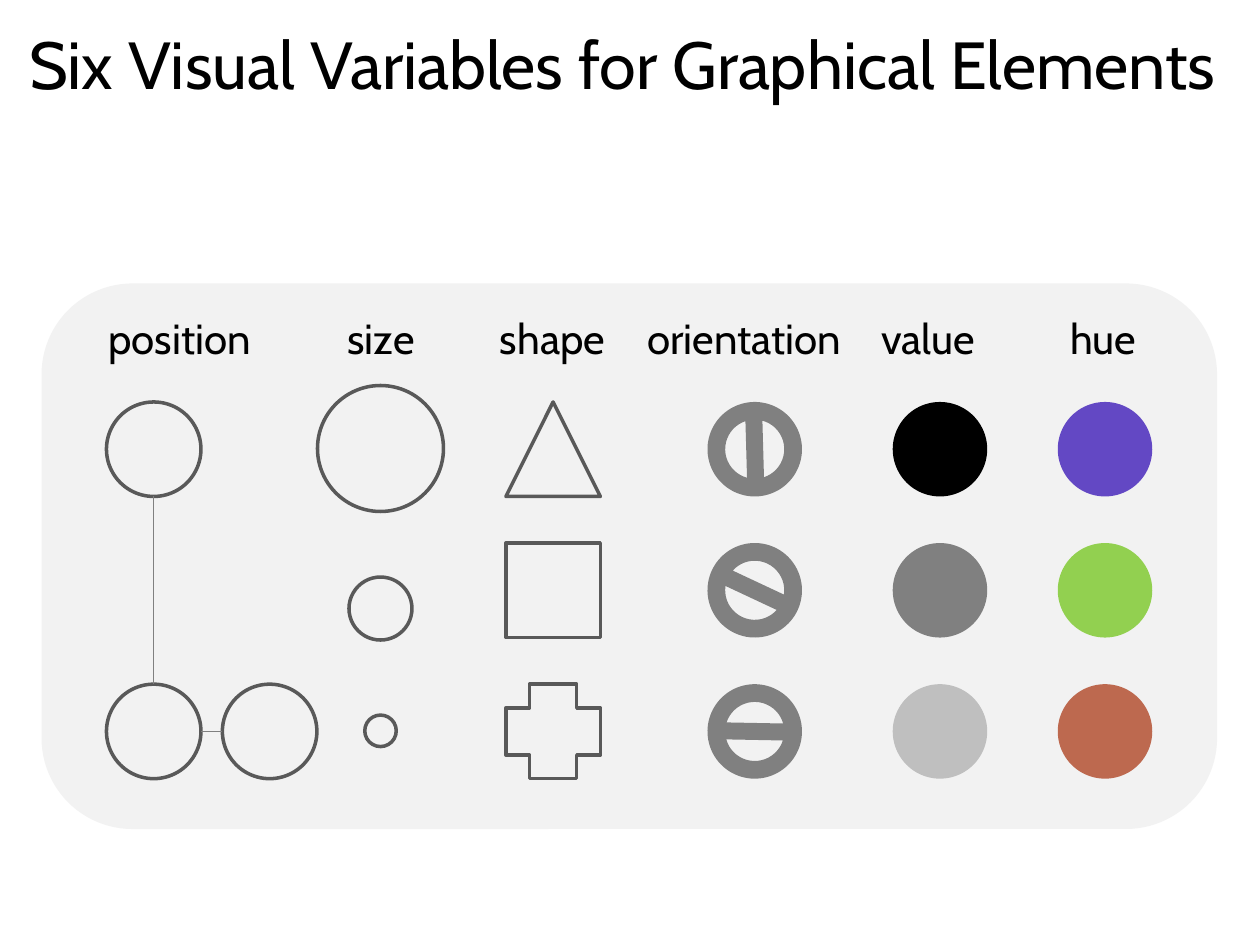
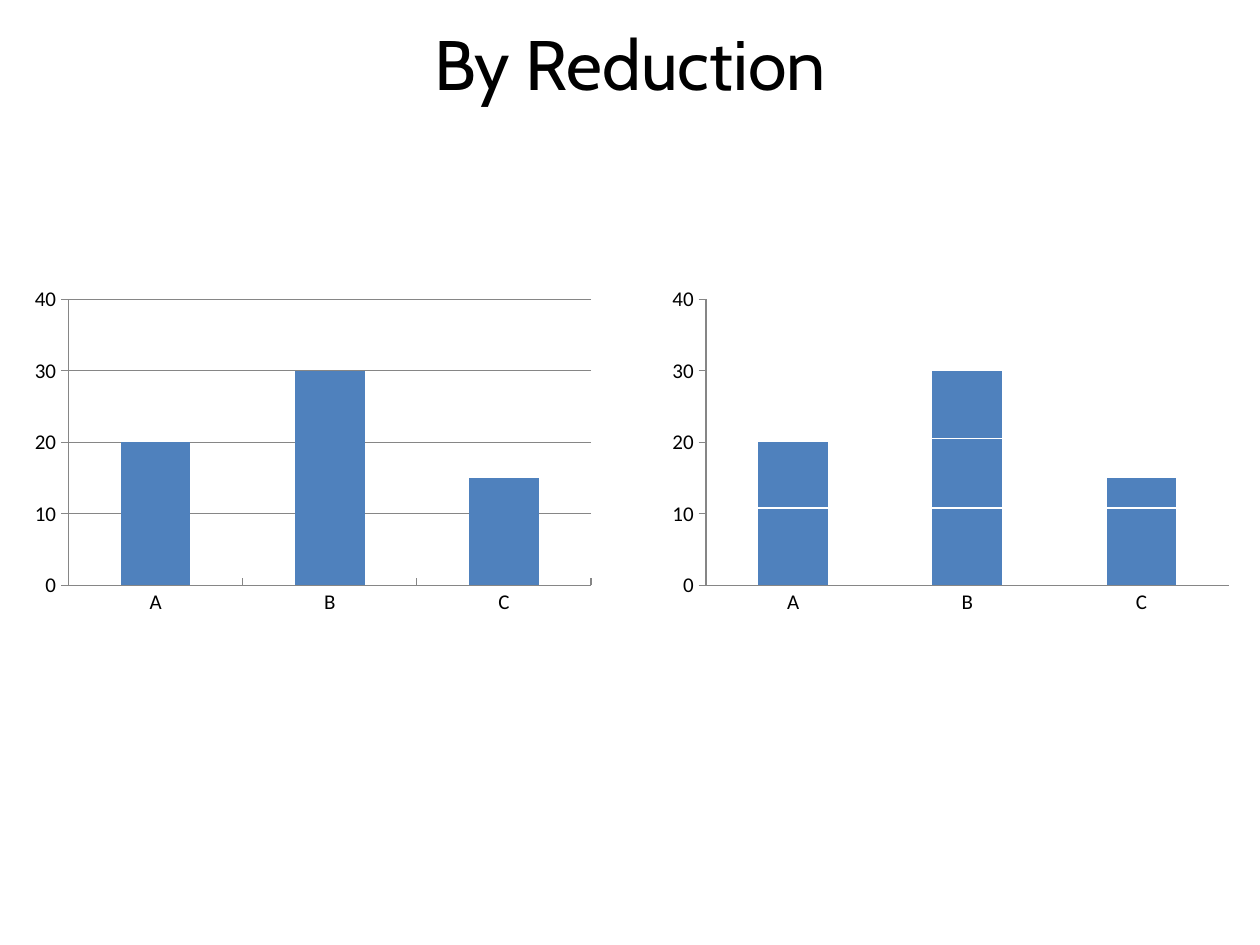
from lxml import etree
from pptx import Presentation
from pptx.chart.data import CategoryChartData
from pptx.dml.color import RGBColor
from pptx.enum.chart import XL_CHART_TYPE, XL_TICK_MARK
from pptx.enum.shapes import MSO_CONNECTOR, MSO_SHAPE
from pptx.enum.text import MSO_ANCHOR, PP_ALIGN
from pptx.oxml import parse_xml
from pptx.oxml.ns import nsdecls, qn
from pptx.util import Inches, Pt

COLORS = {
    "text": "000000", "panel": "F2F2F2", "outline": "595959",
    "black": "000000", "gray": "808080", "silver": "BFBFBF",
    "purple": "6348C4", "green": "92D050", "clay": "BD694F",
    "bar": "4F81BD", "axis": "868686", "white": "FFFFFF",
}
TITLE_FONT, CHART_FONT = "Cabin", "Calibri"

# Slide 1: label, label left, mark centre x, marks (kind, fill, rotation) by row
MARK, ROW_TOP, ROW_STEP = 0.75, 3.19, 1.12
LABEL_TOP, LABEL_WIDTH, LABEL_HEIGHT = 2.43, 1.65, 0.5
OVAL, BAN = MSO_SHAPE.OVAL, MSO_SHAPE.NO_SYMBOL
COLUMNS = [
    ("position", 0.6, 1.22, {0: (OVAL, None, 0), 2: (OVAL, None, 0)}),
    ("size", 2.2, 3.02, {}),
    ("shape", 3.56, 4.39, {0: (MSO_SHAPE.ISOSCELES_TRIANGLE, None, 0),
                           1: (MSO_SHAPE.RECTANGLE, None, 0),
                           2: (MSO_SHAPE.CROSS, None, 0)}),
    ("orientation", 5.08, 5.99, {0: (BAN, "gray", 43.4),
                                 1: (BAN, "gray", 340.1),
                                 2: (BAN, "gray", 316.1)}),
    ("value", 6.54, 7.46, {0: (OVAL, "black", 0), 1: (OVAL, "gray", 0),
                           2: (OVAL, "silver", 0)}),
    ("hue", 7.93, 8.77, {0: (OVAL, "purple", 0), 1: (OVAL, "green", 0),
                         2: (OVAL, "clay", 0)}),
]
SHIFTED_CIRCLE_X = 2.14
SIZE_X = 3.02
SIZE_CIRCLES = [(3.56, 1), (4.83, 0.5), (5.8, 0.25)]  # centre y, diameter

# Slide 2: the same data, with gridlines and with gaps cut into the bars
BAR_VALUES = {"A": 20, "B": 30, "C": 15}
CHART_TOP, CHART_WIDTH, CHART_HEIGHT = 2.15, 4.67, 2.78
CHARTS = [  # left, gridlines, category ticks
    (0.25, True, XL_TICK_MARK.INSIDE),
    (5.31, False, XL_TICK_MARK.NONE),
]
PLOT_AREA = {"x": 0.063, "y": 0.081, "w": 0.888, "h": 0.817}
CUTS = [(5.75, 9.41, 4.03), (5.85, 9.52, 3.48)]  # from x, to x, y


def rgb(name):
    return RGBColor.from_string(COLORS[name])


def style_font(font, size, name=TITLE_FONT):
    for key, value in {"size": Pt(size), "name": name, "bold": False}.items():
        setattr(font, key, value)
    font.color.rgb = rgb("text")


def style_line(line, color, width):
    line.color.rgb = rgb(color)
    line.width = Pt(width)


def write_centered(frame, text, size):
    para = frame.paragraphs[0]
    para.alignment = PP_ALIGN.CENTER
    span = para.add_run()
    span.text = text
    style_font(span.font, size)


def add_page(deck, title, size):
    page = deck.slides.add_slide(deck.slide_layouts[5])
    box = page.shapes.title
    place = {"left": 0, "top": 0, "width": 10, "height": 1}
    for key, value in place.items():
        setattr(box, key, Inches(value))
    box.text_frame.vertical_anchor = MSO_ANCHOR.MIDDLE
    write_centered(box.text_frame, title, size)
    return page


def add_figure(page, kind, left, top, width, height, fill=None, rotation=0):
    """Add a filled shape, or an outlined one when there is no fill."""
    shape = page.shapes.add_shape(
        kind, Inches(left), Inches(top), Inches(width), Inches(height))
    shape.shadow.inherit = False
    shape.rotation = rotation
    if fill:
        shape.fill.solid()
        shape.fill.fore_color.rgb = rgb(fill)
        shape.line.fill.background()
    else:
        shape.fill.background()
        style_line(shape.line, "outline", 2)


def add_mark(page, kind, x, y, size=MARK, fill=None, rotation=0):
    """Add a square figure centred on x, y."""
    add_figure(page, kind, x - size / 2, y - size / 2, size, size, fill, rotation)


def add_line(page, x1, y1, x2, y2, color, width):
    line = page.shapes.add_connector(
        MSO_CONNECTOR.STRAIGHT, Inches(x1), Inches(y1), Inches(x2), Inches(y2))
    style_line(line.line, color, width)
    etree.SubElement(line._element.spPr, qn("a:effectLst"))


def add_label(page, text, left):
    box = page.shapes.add_textbox(Inches(left), Inches(LABEL_TOP),
                                  Inches(LABEL_WIDTH), Inches(LABEL_HEIGHT))
    # No side margins, so the longest label fits on one line
    layout = {"word_wrap": False, "margin_left": 0, "margin_right": 0}
    for key, value in layout.items():
        setattr(box.text_frame, key, value)
    write_centered(box.text_frame, text, 24)


def add_bar_chart(page, left, gridlines, category_ticks):
    data = CategoryChartData()
    data.categories = list(BAR_VALUES)
    data.add_series("Series 1", list(BAR_VALUES.values()))
    chart = page.shapes.add_chart(
        XL_CHART_TYPE.COLUMN_CLUSTERED, Inches(left), Inches(CHART_TOP),
        Inches(CHART_WIDTH), Inches(CHART_HEIGHT), data).chart
    chart.has_legend = chart.has_title = False
    style_font(chart.font, 10, CHART_FONT)

    # Bars
    plot = chart.plots[0]
    plot.gap_width = 150
    plot.vary_by_categories = False
    fill = plot.series[0].format.fill
    fill.solid()
    fill.fore_color.rgb = rgb("bar")

    # Axes
    scale = {"minimum_scale": 0, "maximum_scale": 40, "major_unit": 10,
             "has_major_gridlines": gridlines}
    for key, value in scale.items():
        setattr(chart.value_axis, key, value)
    chart.value_axis.major_tick_mark = XL_TICK_MARK.OUTSIDE
    chart.category_axis.major_tick_mark = category_ticks
    for axis in (chart.value_axis, chart.category_axis):
        axis.minor_tick_mark = XL_TICK_MARK.NONE
        style_font(axis.tick_labels.font, 12, CHART_FONT)
        style_line(axis.format.line, "axis", 0.75)
    if gridlines:
        style_line(chart.value_axis.major_gridlines.format.line, "axis", 0.75)

    # Fixed inner plot area
    modes = "".join(f'<c:{side}Mode val="edge"/>' for side in "xy")
    sizes = "".join(f'<c:{key} val="{value}"/>' for key, value in PLOT_AREA.items())
    layout = parse_xml(
        f'<c:layout {nsdecls("c")}><c:manualLayout><c:layoutTarget val="inner"/>'
        f'{modes}{sizes}</c:manualLayout></c:layout>')
    area = chart._chartSpace.chart.plotArea
    for old in area.findall(qn("c:layout")):
        area.remove(old)
    area.insert(0, layout)


def build_variables_page(deck):
    page = add_page(deck, "Six Visual Variables for Graphical Elements ", 38)
    add_figure(page, MSO_SHAPE.ROUNDED_RECTANGLE, 0.33, 2.25, 9.33, 4.33, "panel")

    row_centers = [ROW_TOP + MARK / 2 + row * ROW_STEP for row in range(3)]
    for label, left, center, marks in COLUMNS:
        add_label(page, label, left)
        for row, (kind, fill, rotation) in marks.items():
            add_mark(page, kind, center, row_centers[row], MARK, fill, rotation)
    for y, diameter in SIZE_CIRCLES:
        add_mark(page, OVAL, SIZE_X, y, diameter)

    # Moved circle and the links between positions
    first_x, top_y, bottom_y = COLUMNS[0][2], row_centers[0], row_centers[2]
    radius = MARK / 2
    add_mark(page, OVAL, SHIFTED_CIRCLE_X, bottom_y)
    add_line(page, first_x, top_y + radius, first_x, bottom_y - radius, "gray", 0.75)
    add_line(page, SHIFTED_CIRCLE_X - radius, bottom_y,
             first_x + radius, bottom_y, "gray", 0.75)


def build_reduction_page(deck):
    page = add_page(deck, "By Reduction", 40)
    for left, gridlines, ticks in CHARTS:
        add_bar_chart(page, left, gridlines, ticks)
    for start, end, y in CUTS:
        add_line(page, start, y, end, y, "white", 1)


def main():
    deck = Presentation()
    deck.slide_width, deck.slide_height = Inches(10), Inches(7.5)
    build_variables_page(deck)
    build_reduction_page(deck)
    deck.save("out.pptx")


if __name__ == "__main__":
    main()
